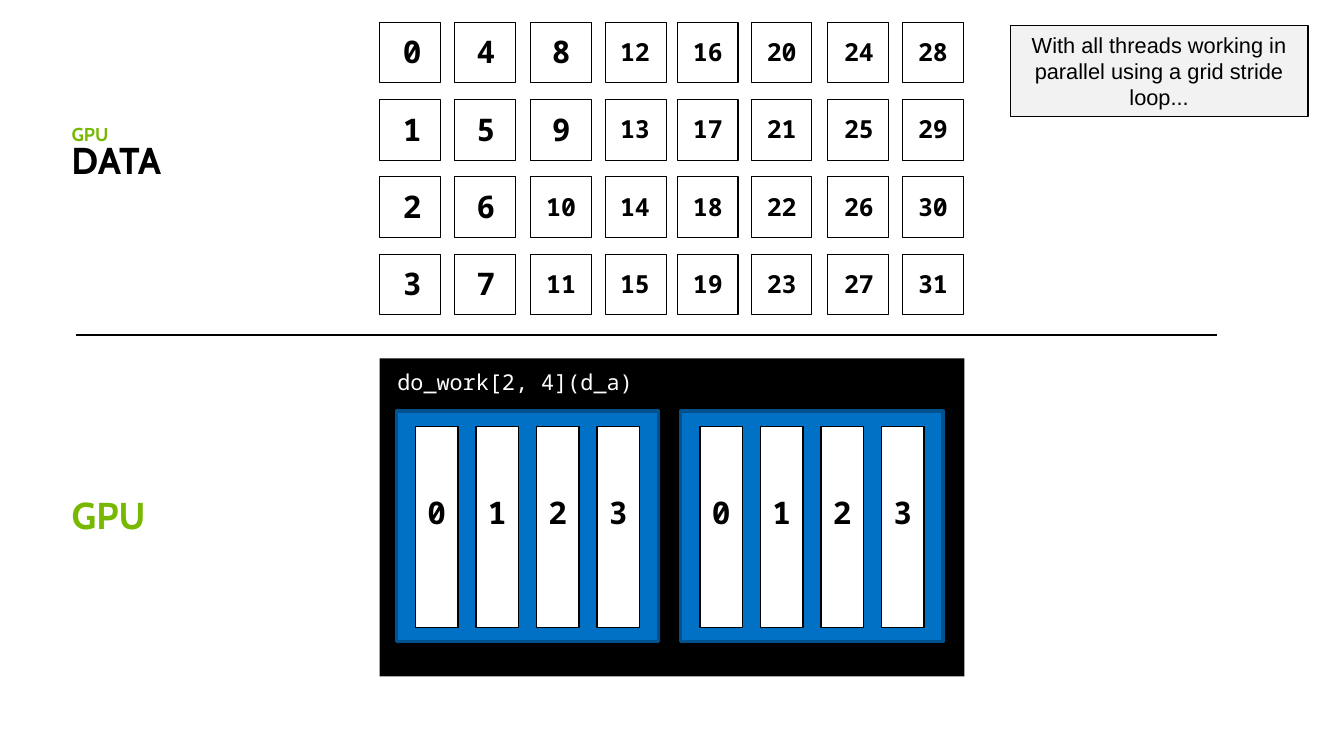
from pptx import Presentation
from pptx.util import Inches, Pt
from pptx.dml.color import RGBColor
from pptx.enum.shapes import MSO_CONNECTOR, MSO_SHAPE
from pptx.enum.text import MSO_ANCHOR, MSO_AUTO_SIZE, PP_ALIGN
from pptx.oxml.ns import qn
from lxml import etree

INK = {"black": "000000", "white": "FFFFFF", "blue": "0071C5",
       "navy": "00528F", "green": "76B900", "grey": "F2F2F2"}
MONO, SANS, HEAD = "Noto Sans Mono", "Arial", "Cabin"

NOTE = "With all threads working in parallel using a grid stride loop..."
CALL = "do_work[2, 4](d_a)"
TITLE = ("GPU", (0.54, 4.39, 0.97, 0.46), 24, "green")
LABELS = [("DATA", (0.54, 1.22, 1.1, 0.46), 24, "black"),
          ("GPU", (0.54, 1.07, 0.55, 0.28), 12, "green")]

# Left edges of each data column: its cells, then its numbers
COLUMNS = [(3.39, 3.42), (4.06, 4.08), (4.74, 4.75), (5.41, 5.41),
           (6.05, 6.06), (6.71, 6.72), (7.39, 7.41), (8.06, 8.07)]
ROWS, CELL = 4, 0.54
BLOCKS = [3.54, 6.08]
THREADS = 4


def color(name):
    return RGBColor.from_string(INK[name])


def write(shape, words, size, font, ink="black", bold=False,
          align=PP_ALIGN.CENTER, anchor=MSO_ANCHOR.MIDDLE, wrap=True):
    frame = shape.text_frame
    frame.text = words
    frame.word_wrap = wrap
    frame.auto_size = MSO_AUTO_SIZE.NONE
    frame.vertical_anchor = anchor
    line = frame.paragraphs[0]
    line.alignment = align
    face = line.runs[0].font
    face.size, face.name, face.bold = Pt(size), font, bold
    face.color.rgb = color(ink)
    return line


def rect(box, fill, edge=None, width=0.75):
    shape = slide.shapes.add_shape(MSO_SHAPE.RECTANGLE, *map(Inches, box))
    shape.shadow.inherit = False
    shape.fill.solid()
    shape.fill.fore_color.rgb = color(fill)
    if edge:
        shape.line.color.rgb = color(edge)
        shape.line.width = Pt(width)
    else:
        shape.line.fill.background()
    return shape


def number(value, left, middle):
    """Write a value in a box centred on the height given."""
    size, high = (20, 0.44) if value < 10 else (16, 0.37)
    box = (left, middle - high / 2, 0.52, high)
    shape = slide.shapes.add_textbox(*map(Inches, box))
    write(shape, str(value), size, MONO, bold=True)


def label(shape, words, size, ink):
    line = write(shape, words, size, HEAD, ink, True, PP_ALIGN.LEFT,
                 MSO_ANCHOR.BOTTOM, False)
    line.line_spacing = 0.9


deck = Presentation()
deck.slide_width, deck.slide_height = Inches(12), Inches(6.75)
slide = deck.slides.add_slide(deck.slide_layouts[5])

# Kernel launch: two blocks of four threads
rect((3.39, 3.2, 5.22, 2.84), "black")
write(rect((3.45, 3.28, 3.06, 0.25), "black"), CALL, 14, MONO, "white",
      align=PP_ALIGN.LEFT)
for left in BLOCKS:
    rect((left, 3.67, 2.34, 2.06), "blue", "navy", 2)
    for i in range(THREADS):
        step = left + 0.54 * i
        rect((step + 0.17, 3.81, 0.38, 1.79), "white", "black")
        number(i, step + 0.1, 4.57)

# Data grid, numbered down each column
for c, (edge, text) in enumerate(COLUMNS):
    for r in range(ROWS):
        rect((edge, 0.2 + 0.69 * r, CELL, CELL), "white", "black")
        number(c * ROWS + r, text, 0.46 + 0.69 * r)

# Divider between data and device
rule = slide.shapes.add_connector(
    MSO_CONNECTOR.STRAIGHT, *map(Inches, (0.68, 2.99, 10.87, 2.99)))
rule.line.color.rgb = color("black")
rule.line.width = Pt(1.5)
etree.SubElement(rule._element.spPr, qn("a:effectLst"))

# Side labels and note
words, box, size, ink = TITLE
title = slide.shapes.title
title.left, title.top, title.width, title.height = map(Inches, box)
label(title, words, size, ink)
for words, box, size, ink in LABELS:
    label(slide.shapes.add_textbox(*map(Inches, box)), words, size, ink)
write(rect((9.02, 0.23, 2.66, 0.81), "grey", "black"), NOTE, 14, SANS,
      anchor=MSO_ANCHOR.TOP)

deck.save("out.pptx")
